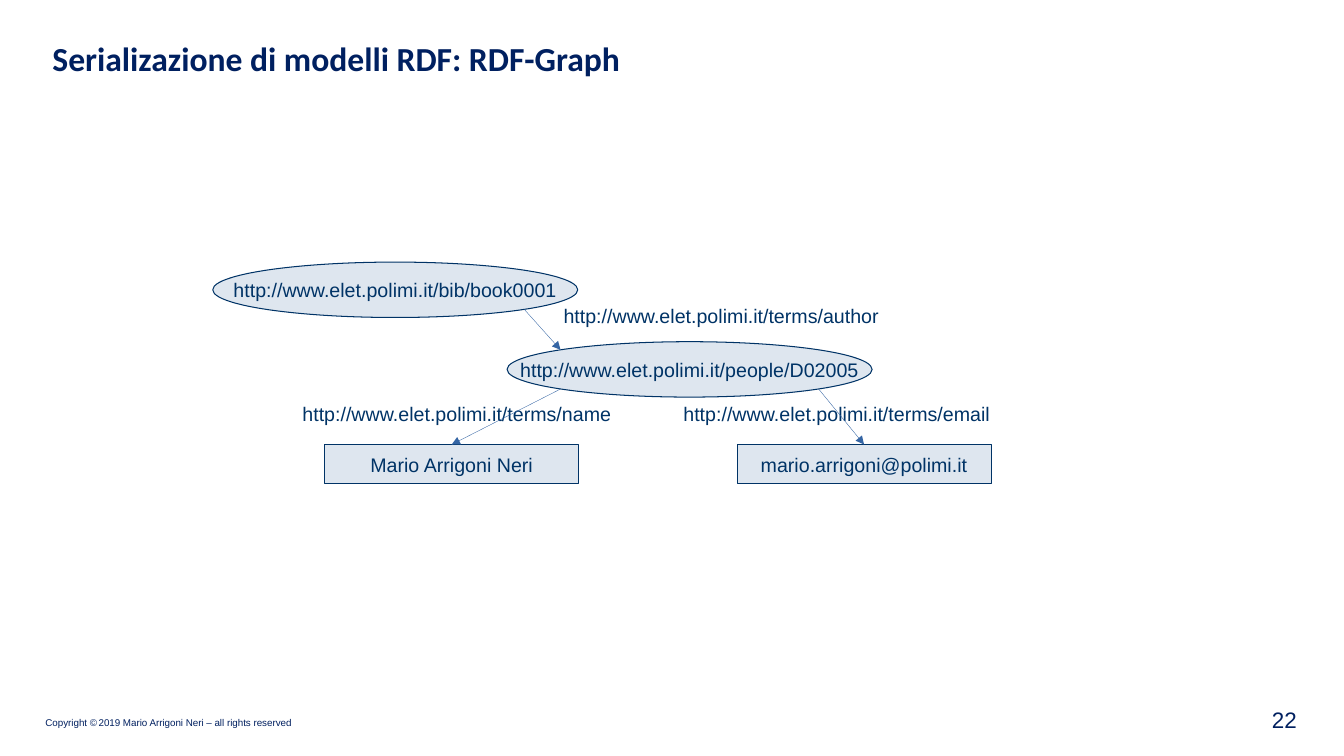
from math import sqrt

from lxml.etree import SubElement
from pptx import Presentation
from pptx.dml.color import RGBColor
from pptx.enum.shapes import MSO_CONNECTOR as Connector, MSO_SHAPE as Shape
from pptx.enum.text import MSO_ANCHOR as Anchor, PP_ALIGN as Align
from pptx.oxml.ns import qn
from pptx.util import Inches, Pt

WIDTH, HEIGHT = Inches(13.33), Inches(7.5)
NAVY, INK, PALE, ARROW = "002060", "003366", "DEE6EF", "3465A4"
RESOURCE_SIZE = (27.16, 7.33)
LITERAL_SIZE = (18.9, 5.2)
LITERAL_TOP = 58.8
PROPERTY_TOP = 52.53
BASE = "http://www.elet.polimi.it/"


def color(code):
    return RGBColor.from_string(code)


def place(left, top, width, height):
    """Turn percentages of the slide into lengths."""
    return (int(WIDTH * left / 100), int(HEIGHT * top / 100),
            int(WIDTH * width / 100), int(HEIGHT * height / 100))


def write(box, runs, code, font="Arial", align=Align.LEFT, anchor=Anchor.TOP,
          bold=False, wrap=False, inset=None):
    """Fill a box with one paragraph of (text, size) runs."""
    frame = box.text_frame
    frame.word_wrap = wrap
    frame.vertical_anchor = anchor
    if inset is not None:
        frame.margin_left = frame.margin_right = Inches(inset)
        frame.margin_top = frame.margin_bottom = Inches(inset)
    para = frame.paragraphs[0]
    para.alignment = align
    for text, size in runs:
        span = para.add_run()
        span.text = text
        span.font.name = font
        span.font.size = Pt(size)
        span.font.bold = bold
        span.font.color.rgb = color(code)


def add_title(page, text):
    title = page.shapes.title
    title.left, title.top, title.width, title.height = place(3.15, 4.4, 93.85, 8.67)
    write(title, [(text, 24)], NAVY, font="Calibri", bold=True, wrap=True)


def add_text(page, area, runs, code, **style):
    write(page.shapes.add_textbox(*place(*area)), runs, code, **style)


def add_node(page, preset, left, top, size, text):
    node = page.shapes.add_shape(preset, *place(left, top, *size))
    node.shadow.inherit = False
    node.fill.solid()
    node.fill.fore_color.rgb = color(PALE)
    node.line.color.rgb = color(INK)
    node.line.width = Pt(0.75)
    write(node, [(text, 14)], INK, align=Align.CENTER, anchor=Anchor.MIDDLE)
    return node


def rim(ellipse, side_x, side_y):
    """Diagonal point on an ellipse; each side is -1 or 1."""
    return (int(ellipse.left + ellipse.width / 2 * (1 + side_x * sqrt(0.5))),
            int(ellipse.top + ellipse.height / 2 * (1 + side_y * sqrt(0.5))))


def top_middle(box):
    return box.left + box.width // 2, box.top


def add_arrow(page, start, end):
    arrow = page.shapes.add_connector(Connector.STRAIGHT, *start, *end)
    arrow.line.color.rgb = color(ARROW)
    arrow.line.width = Pt(0.25)
    SubElement(arrow.line._get_or_add_ln(), qn("a:tailEnd"), type="triangle")
    SubElement(arrow._element.spPr, qn("a:effectLst"))
    return arrow


def main():
    deck = Presentation()
    deck.slide_width, deck.slide_height = WIDTH, HEIGHT
    page = deck.slides.add_slide(deck.slide_layouts[5])
    add_title(page, "Serializazione di modelli RDF: RDF-Graph")

    # Footer
    add_text(page, (3.23, 94.53, 18.68, 2.13),
             [("Copyright ©", 7), (" ", 4),
              ("2019 Mario Arrigoni Neri – all rights reserved", 7)],
             NAVY, anchor=Anchor.BOTTOM, inset=0.02)
    add_text(page, (93.1, 92.8, 4.13, 4.67), [("22", 16)], NAVY,
             align=Align.RIGHT, anchor=Anchor.MIDDLE, wrap=True)

    # Resources and literals
    book = add_node(page, Shape.OVAL, 15.83, 34.67, RESOURCE_SIZE, BASE + "bib/book0001")
    person = add_node(page, Shape.OVAL, 37.73, 45.2, RESOURCE_SIZE, BASE + "people/D02005")
    name, email = [
        add_node(page, Shape.RECTANGLE, left, LITERAL_TOP, LITERAL_SIZE, text)
        for left, text in ((24.16, "Mario Arrigoni Neri"),
                           (54.84, "mario.arrigoni@polimi.it"))]

    # Property labels
    for left, top, width, term in ((41.19, 39.6, 25.06, "author"),
                                   (21.76, PROPERTY_TOP, 24.53, "name"),
                                   (50.11, PROPERTY_TOP, 24.38, "email")):
        add_text(page, (left, top, width, 4.53), [(BASE + "terms/" + term, 14)], INK)

    # Property arrows
    add_arrow(page, rim(book, 1, 1), rim(person, -1, -1))
    for side, literal in ((-1, name), (1, email)):
        arrow = add_arrow(page, rim(person, side, 1), top_middle(literal))
        arrow.end_connect(literal, 0)

    deck.save("out.pptx")


if __name__ == "__main__":
    main()
